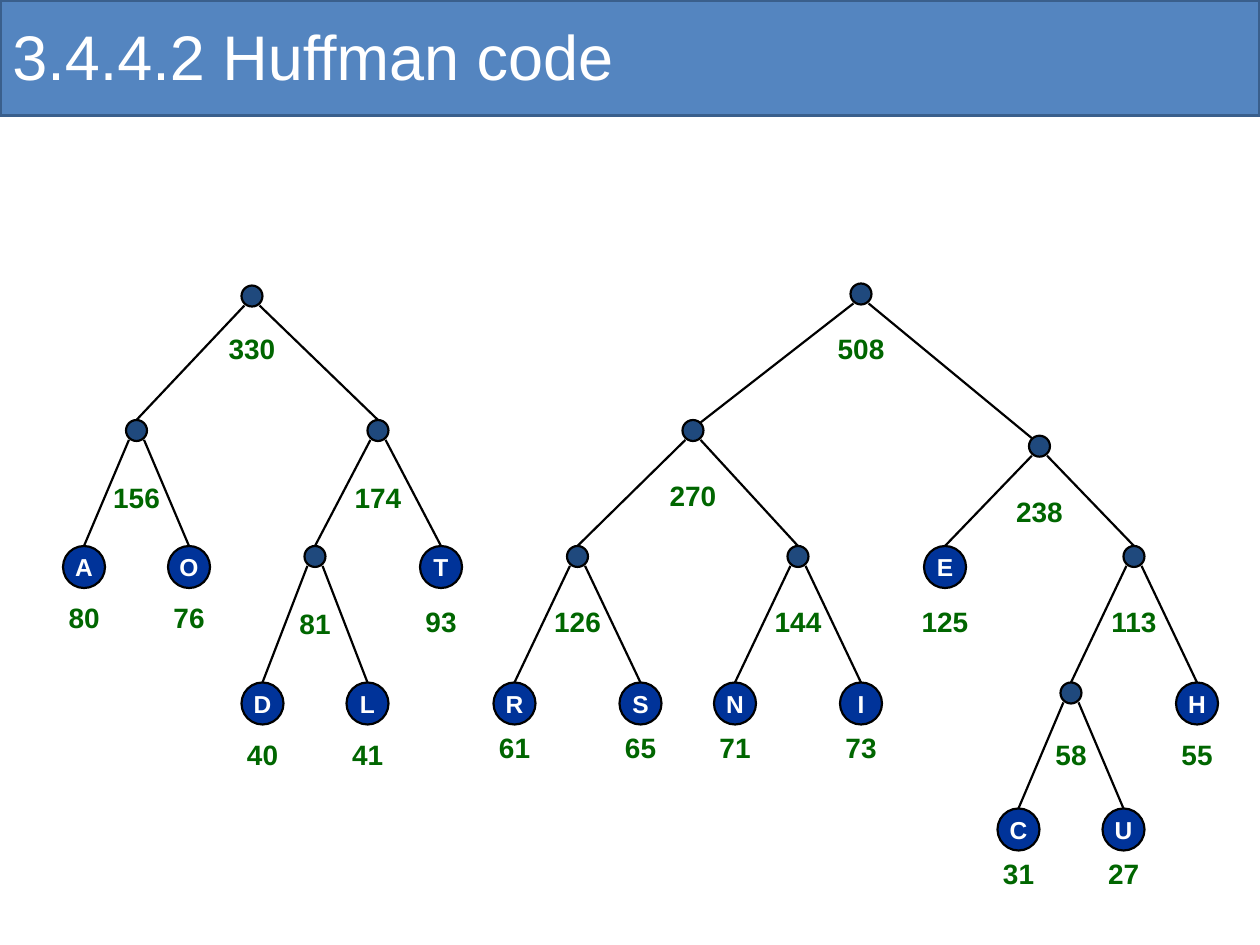
"""Draw two partial Huffman trees with their symbol weights."""
from dataclasses import dataclass

from lxml import etree
from pptx import Presentation
from pptx.dml.color import RGBColor
from pptx.enum import shapes, text
from pptx.oxml.ns import qn
from pptx.util import Inches, Pt

COLUMNS, ROWS = 120, 90
WIDTH, HEIGHT = Inches(10), Inches(7.5)

WHITE = RGBColor(0xFF, 0xFF, 0xFF)
BLACK = RGBColor(0x00, 0x00, 0x00)
BANNER_FILL = RGBColor(0x54, 0x85, 0xC0)
BANNER_LINE = RGBColor(0x3A, 0x5F, 0x8C)
BRANCH_FILL = RGBColor(0x1F, 0x49, 0x7D)
LEAF_FILL = RGBColor(0x00, 0x33, 0x99)
WEIGHT_COLOR = RGBColor(0x00, 0x66, 0x00)

LABEL_WIDTH, LABEL_HEIGHT = 8, 4.4
SIDE_OFFSET, LOWER_OFFSET, UPPER_OFFSET = 0.72, 1.9, 0.24


@dataclass(frozen=True)
class Node:
    """Tree node: middle column, top row, weight, label row and content."""

    column: float
    row: float
    weight: int
    label_row: float
    letter: str = ""
    children: tuple["Node", ...] = ()
    joins_sides: bool = False

    @property
    def size(self) -> int:
        return 4 if self.letter else 2


LEFT_TREE = Node(24, 27.2, 330, 31, children=(
    Node(13, 40, 156, 45.2, children=(
        Node(8, 52, 80, 56.6, "A"),
        Node(18, 52, 76, 56.6, "O"))),
    Node(36, 40, 174, 45.2, children=(
        Node(30, 52, 81, 57.2, children=(
            Node(25, 65, 40, 69.6, "D"),
            Node(35, 65, 41, 69.6, "L"))),
        Node(42, 52, 93, 57, "T")))))

RIGHT_TREE = Node(82, 27, 508, 31, joins_sides=True, children=(
    Node(66, 40, 270, 45, children=(
        Node(55, 52, 126, 57, children=(
            Node(49, 65, 61, 69, "R"),
            Node(61, 65, 65, 69, "S"))),
        Node(76, 52, 144, 57, children=(
            Node(70, 65, 71, 69, "N"),
            Node(82, 65, 73, 69, "I"))))),
    Node(99, 41.5, 238, 46.5, children=(
        Node(90, 52, 125, 57, "E"),
        Node(108, 52, 113, 57, children=(
            Node(102, 65, 58, 69.6, children=(
                Node(97, 77, 31, 81, "C"),
                Node(107, 77, 27, 81, "U"))),
            Node(114, 65, 55, 69.6, "H")))))))


def across(columns: float) -> int:
    """Turn grid columns into a length."""
    return round(WIDTH * columns / COLUMNS)


def down(rows: float) -> int:
    """Turn grid rows into a length."""
    return round(HEIGHT * rows / ROWS)


def write(shape, words: str, *, size: float, color: RGBColor, bold: bool = True,
          align=text.PP_ALIGN.CENTER, wrap: bool = True) -> None:
    """Put formatted words in the middle of a shape's height."""
    frame = shape.text_frame
    frame.word_wrap = wrap
    frame.vertical_anchor = text.MSO_ANCHOR.MIDDLE
    para = frame.paragraphs[0]
    para.alignment = align
    span = para.add_run()
    span.text = words
    span.font.name = "Arial"
    span.font.size = Pt(size)
    span.font.bold = bold
    span.font.color.rgb = color


def add_filled(page, kind, place: tuple, fill: RGBColor, line: RGBColor, weight: float):
    """Add a filled and outlined preset shape."""
    shape = page.shapes.add_shape(kind, *place)
    shape.shadow.inherit = False
    shape.fill.solid()
    shape.fill.fore_color.rgb = fill
    shape.line.color.rgb = line
    shape.line.width = Pt(weight)
    return shape


def add_edge(page, parent: Node, child: Node, circle) -> None:
    """Join a parent's lower side to its child."""
    side = SIDE_OFFSET if child.column > parent.column else -SIDE_OFFSET
    edge = page.shapes.add_connector(
        shapes.MSO_CONNECTOR.STRAIGHT,
        across(parent.column + side), down(parent.row + LOWER_OFFSET),
        across(child.column - side), down(child.row + UPPER_OFFSET))
    if not parent.joins_sides:
        edge.end_connect(circle, 0)
    edge.line.color.rgb = BLACK
    edge.line.width = Pt(1.25)
    etree.SubElement(edge._element.spPr, qn("a:effectLst"))


def add_tree(page, node: Node):
    """Draw a node, its weight and everything below it."""
    place = (across(node.column - node.size / 2), down(node.row),
             across(node.size), down(node.size))
    fill = LEAF_FILL if node.letter else BRANCH_FILL
    circle = add_filled(page, shapes.MSO_SHAPE.OVAL, place, fill, BLACK, 1.25)
    if node.letter:
        write(circle, node.letter, size=14, color=WHITE, wrap=False)
    for child in node.children:
        add_edge(page, node, child, add_tree(page, child))
    box = page.shapes.add_textbox(
        across(node.column - LABEL_WIDTH / 2), down(node.label_row),
        across(LABEL_WIDTH), down(LABEL_HEIGHT))
    write(box, str(node.weight), size=16, color=WEIGHT_COLOR)
    return circle


def main() -> None:
    """Build and save the slide."""
    deck = Presentation()
    deck.slide_width, deck.slide_height = WIDTH, HEIGHT
    page = deck.slides.add_slide(deck.slide_layouts[6])
    add_filled(page, shapes.MSO_SHAPE.RECTANGLE, (0, 0, WIDTH, down(11)),
               BANNER_FILL, BANNER_LINE, 2)
    for tree in (LEFT_TREE, RIGHT_TREE):
        add_tree(page, tree)
    title = page.shapes.add_textbox(0, 0, across(105), down(10.5))
    write(title, "3.4.4.2 Huffman code", size=36, color=WHITE, bold=False,
          align=text.PP_ALIGN.LEFT)
    deck.save("out.pptx")


if __name__ == "__main__":
    main()
